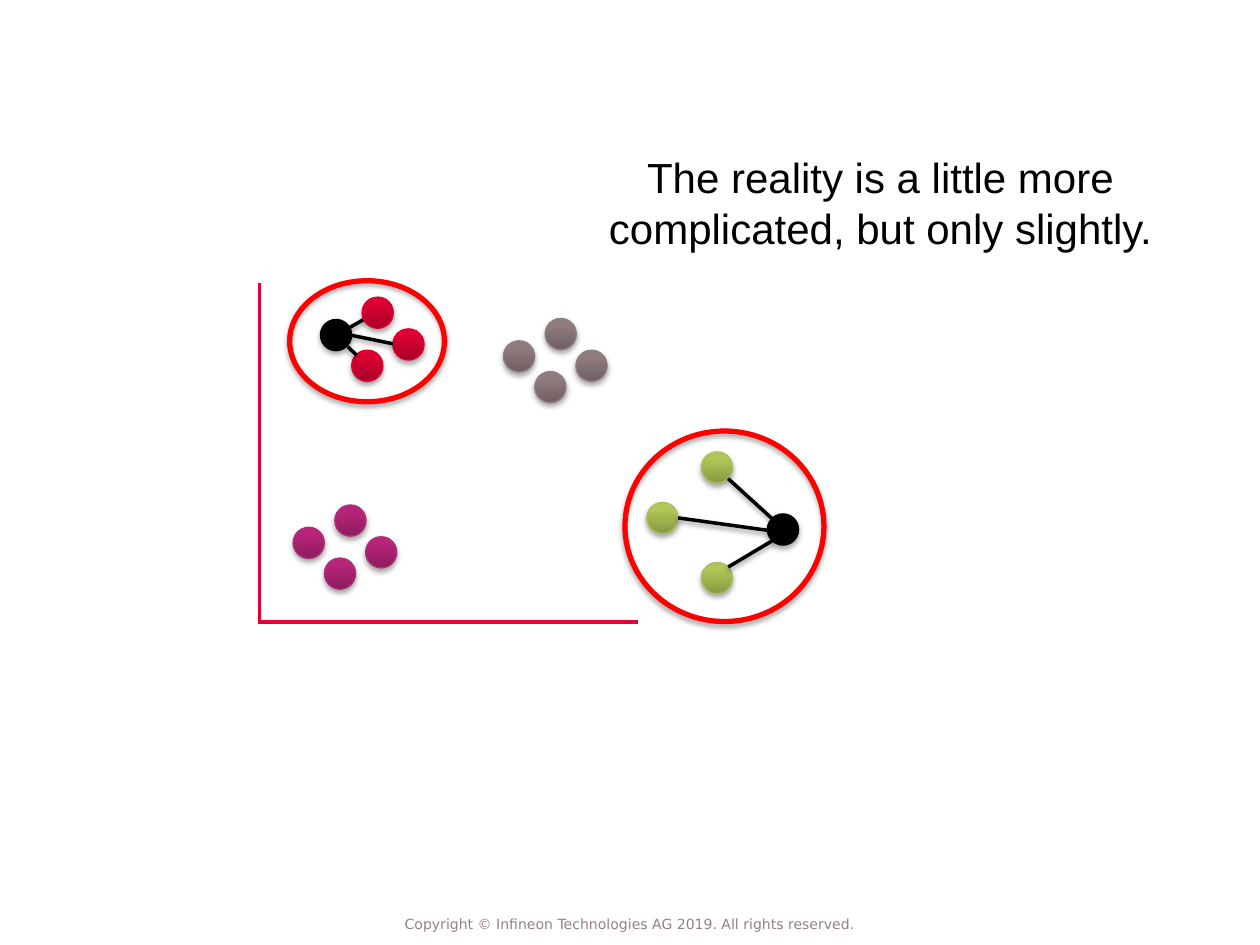
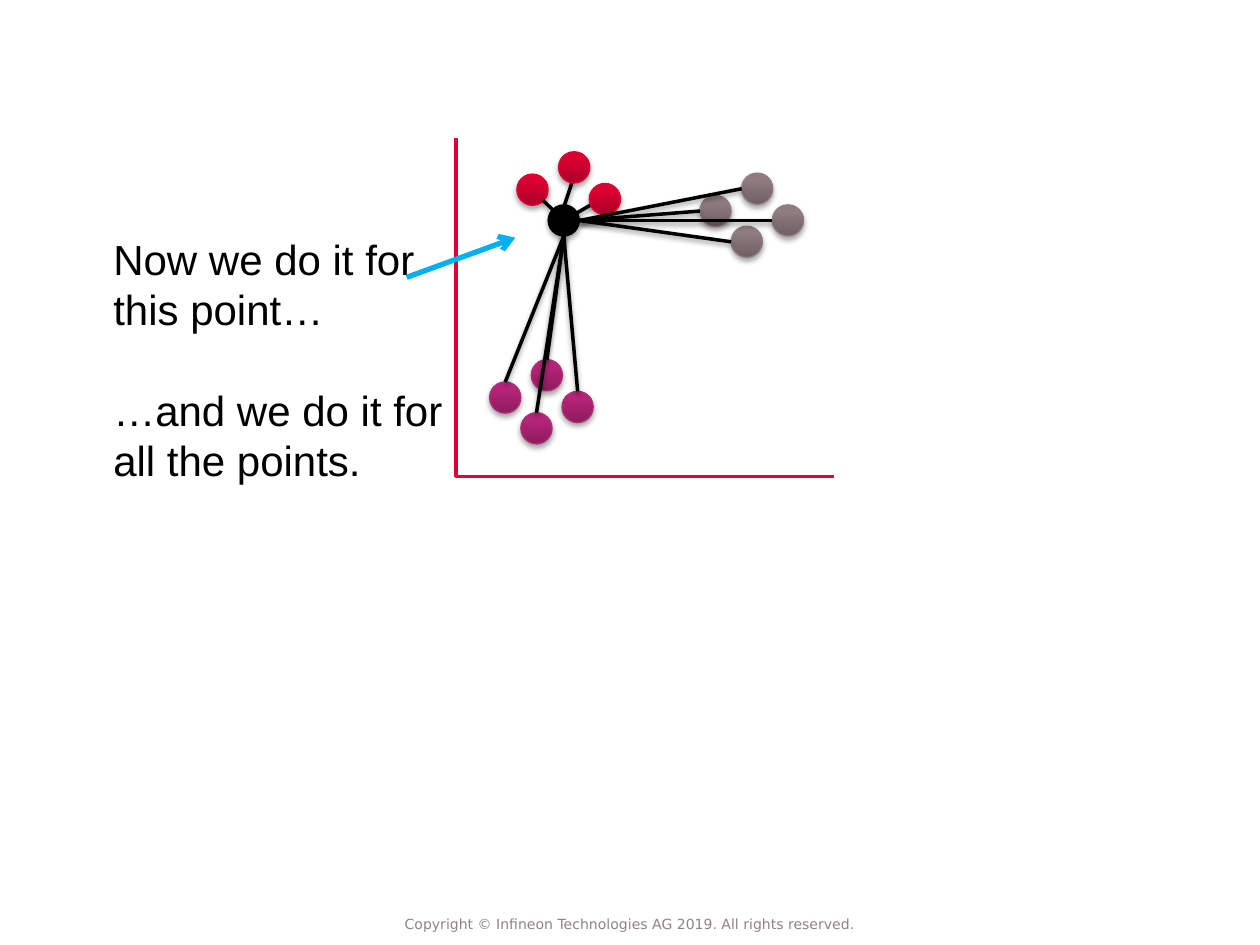
from lxml.etree import SubElement
from pptx import Presentation
from pptx.dml.color import RGBColor
from pptx.enum.shapes import MSO_CONNECTOR, MSO_SHAPE
from pptx.enum.text import MSO_ANCHOR, MSO_AUTO_SIZE, PP_ALIGN
from pptx.oxml import parse_xml
from pptx.oxml.ns import nsdecls, qn
from pptx.util import Cm, Pt

# Shared colours: dark and light fill, then edge
BLACK, AXIS, RING, ARROW = "000000", "E30034", "FF0000", "00B0F0"
TINTS = {
    "red": ("A90027", "DC0032", "DE0033"),
    "plum": ("8D1C5D", "B72479", "AA3378"),
    "grey": ("6F5F62", "907C7F", "8F7F82"),
    "lime": ("889943", "B0C757", "ABBE63"),
    "hub": (BLACK, BLACK, BLACK),
}

# Shared layout in cm: a cluster is four dots set off from its corner
DOT = 0.63
HALF = DOT / 2
STEPS = [(0, 0.45), (0.84, 0), (0.63, 1.07), (1.46, 0.64)]
CORNERS = {"red": (6.46, 5.99), "plum": (5.91, 10.18), "grey": (10.15, 6.42)}
AXES = [(12.86, 12.54, 5.21, 12.54), (5.23, 5.71, 5.23, 12.54)]

# Shared text formats
HEAD = {"name": "Arial", "size": Pt(24), "bold": False}
FOOT = {"name": "DejaVu Sans", "size": Pt(8)}
NOTICE = "Copyright © Infineon Technologies AG 2019. All rights reserved."


def paint(item, edge, width, drop=0, alpha=35):
    """Set the line of a shape or connector, and its shadow if drop is given."""
    item.line.color.rgb = RGBColor.from_string(edge)
    item.line.width = Pt(width)
    effect = parse_xml(f"<a:effectLst {nsdecls('a')}/>")
    if drop:
        shade = SubElement(effect, qn("a:outerShdw"), blurRad=str(Pt(3.1)),
                           dist=str(Pt(drop)), dir="5400000", rotWithShape="0")
        black = SubElement(shade, qn("a:srgbClr"), val=BLACK)
        SubElement(black, qn("a:alpha"), val=str(alpha * 1000))
    item._element.spPr.append(effect)


def join(slide, ends, tint=BLACK, width=2, drop=1.6):
    """Draw a straight line between two points in cm."""
    line = slide.shapes.add_connector(MSO_CONNECTOR.STRAIGHT, *map(Cm, ends))
    paint(line, tint, width, drop, 38)
    return line


# Slide 1: links within a cluster
first = {
    "text": ["The reality is a little more complicated, but only slightly."],
    "box": (11.63, 2.93, 12.24, 1.8), "align": PP_ALIGN.CENTER,
    "shift": (0, 0), "hub": 0,
    "dots": [("lime", 14.14, 9.11), ("lime", 13.04, 10.13),
             ("lime", 14.14, 11.34), ("hub", 15.47, 10.36)],
    "back": [(6.86, 6.71, 7.49, 6.35)],
    "front": [(7.09, 6.76, 7.92, 6.93), (7.01, 6.99, 7.19, 7.16),
              (15.57, 10.46, 14.68, 9.65), (15.47, 10.69, 13.67, 10.44),
              (15.57, 10.9, 14.68, 11.43)],
    "rings": [(12.6, 8.69, 4.01, 3.84), (5.84, 5.66, 3.12, 2.44)],
    "arrows": [],
}

# Slide 2: links from one point to all the others
second = {
    "text": ["Now we do it for this point…", "…and we do it for all the points."],
    "box": (2.03, 4.57, 7.4, 4.11), "align": PP_ALIGN.LEFT,
    "shift": (3.96, -2.93), "hub": 2,
    "dots": [],
    "back": [(11.3, 4.37, 11.53, 3.68), (11.46, 4.39, 12.12, 4.01)],
    "front": [(10.95, 4.04, 11.15, 4.24)],
    "rings": [],
    "arrows": [(8.2, 5.59, 10.39, 4.79)],
}
hub_x, hub_y = (CORNERS["red"][i] + second["shift"][i] + STEPS[2][i] + HALF
                for i in (0, 1))
for name in ("plum", "grey"):
    for step in STEPS:
        x, y = (CORNERS[name][i] + second["shift"][i] + step[i] for i in (0, 1))
        if name == "plum":
            second["front"].append((hub_x, hub_y + HALF, x + HALF, y))
        else:
            second["front"].append((hub_x + HALF, hub_y, x, y + HALF))

deck = Presentation()
deck.slide_width, deck.slide_height = Cm(25.4), Cm(19.05)

for page in (first, second):
    slide = deck.slides.add_slide(deck.slide_layouts[5])
    dx, dy = page["shift"]

    # Title
    title = slide.shapes.title
    title.left, title.top, title.width, title.height = map(Cm, page["box"])
    frame = title.text_frame
    frame.text = "\n".join(page["text"])
    frame.word_wrap = True
    frame.auto_size = MSO_AUTO_SIZE.NONE
    frame.vertical_anchor = MSO_ANCHOR.TOP
    for i, para in enumerate(frame.paragraphs):
        para.alignment = page["align"]
        para.space_before = Pt(28.7 if i else 0)
        for key, value in HEAD.items():
            setattr(para.font, key, value)
        para.font.color.rgb = RGBColor.from_string(BLACK)

    # Axes and the links behind the dots
    for x1, y1, x2, y2 in AXES:
        join(slide, (x1 + dx, y1 + dy, x2 + dx, y2 + dy), AXIS, drop=0)
    for ends in page["back"]:
        join(slide, ends)

    # Dots
    dots = list(page["dots"])
    for name, (left, top) in CORNERS.items():
        for i, (x, y) in enumerate(STEPS):
            tint = "hub" if name == "red" and i == page["hub"] else name
            dots.append((tint, left + dx + x, top + dy + y))
    for tint, x, y in dots:
        dark, light, edge = TINTS[tint]
        dot = slide.shapes.add_shape(MSO_SHAPE.OVAL, Cm(x), Cm(y), Cm(DOT), Cm(DOT))
        dot.fill.gradient()
        dot.fill.gradient_angle = 90
        for stop, place, shade in zip(dot.fill.gradient_stops, (0, 0.8), (dark, light)):
            stop.position = place
            stop.color.rgb = RGBColor.from_string(shade)
        paint(dot, edge, 0.75, 1.8)

    # Links, rings and arrows in front
    for ends in page["front"]:
        join(slide, ends)
    for box in page["rings"]:
        ring = slide.shapes.add_shape(MSO_SHAPE.OVAL, *map(Cm, box))
        ring.fill.background()
        paint(ring, RING, 3, 1.8)
    for ends in page["arrows"]:
        arrow = join(slide, ends, ARROW, 3, 0)
        SubElement(arrow._element.spPr.find(qn("a:ln")), qn("a:tailEnd"), type="arrow")

    # Footer
    foot = slide.shapes.add_textbox(Cm(7.7), Cm(18.21), Cm(10), Cm(0.84)).text_frame
    margins = dict.fromkeys(("margin_left", "margin_top", "margin_right", "margin_bottom"), 0)
    for key, value in {**margins, "word_wrap": True, "text": NOTICE,
                       "vertical_anchor": MSO_ANCHOR.MIDDLE}.items():
        setattr(foot, key, value)
    para = foot.paragraphs[0]
    para.alignment = PP_ALIGN.CENTER
    for key, value in FOOT.items():
        setattr(para.font, key, value)
    para.font.color.rgb = RGBColor.from_string("928285")

deck.save("out.pptx")
